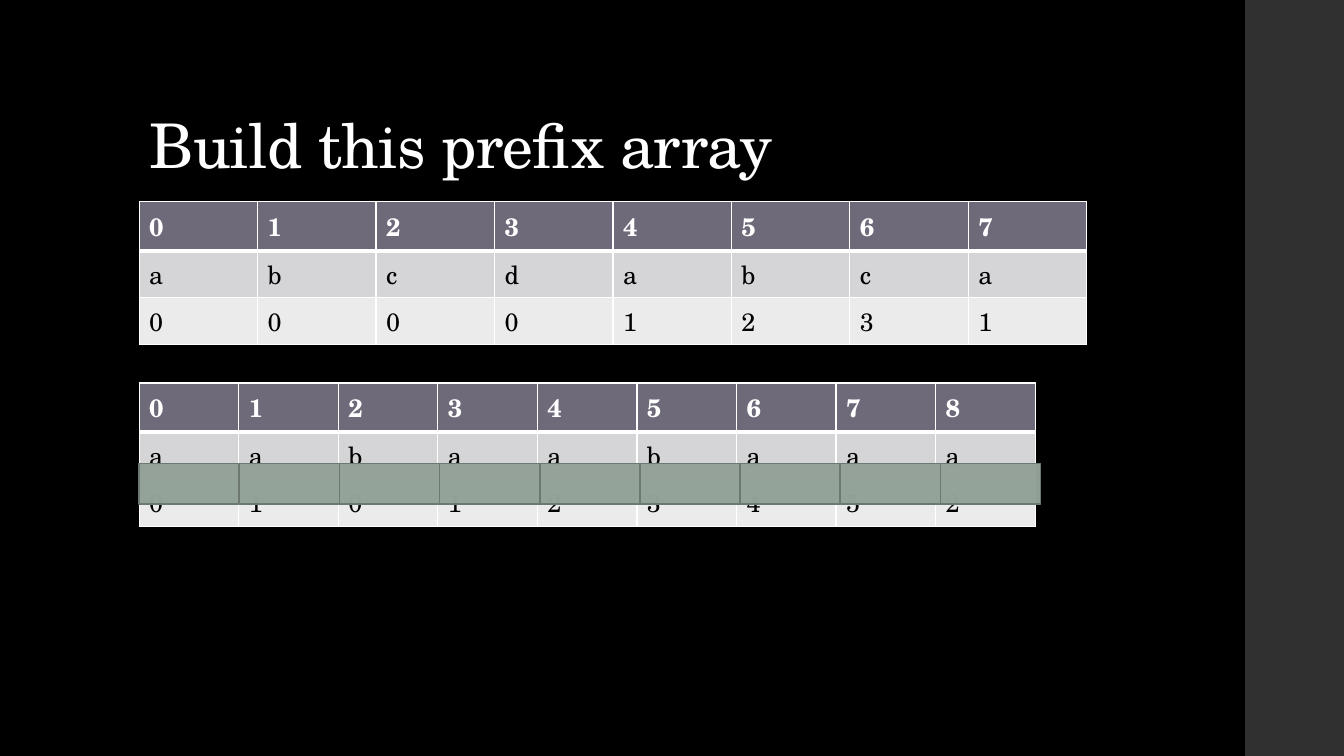
from lxml.etree import SubElement
from pptx import Presentation
from pptx.dml.color import RGBColor
from pptx.enum.shapes import MSO_SHAPE
from pptx.enum.text import MSO_ANCHOR, MSO_AUTO_SIZE, PP_ALIGN
from pptx.oxml.ns import qn
from pptx.util import Inches, Pt

FONT = "TeX Gyre Schola"
LEFT = 1.38
ROW_HEIGHT = 0.41
ROW_FILLS = ["6F6A7A", "D5D4D7", "EBEBEC"]


def paint(fill, color):
    fill.solid()
    fill.fore_color.rgb = RGBColor.from_string(color)


def style_text(paragraph, size, color, bold=False):
    font = paragraph.font
    font.name, font.size, font.bold = FONT, Pt(size), bold
    font.color.rgb = RGBColor.from_string(color)


def add_box(slide, left, top, width, height, color):
    box = slide.shapes.add_shape(
        MSO_SHAPE.RECTANGLE, Inches(left), Inches(top), Inches(width), Inches(height)
    )
    box.shadow.inherit = False
    paint(box.fill, color)
    box.line.fill.background()
    return box


def add_title(slide, wording):
    title = slide.shapes.title
    title.left, title.top = Inches(LEFT), Inches(0.4)
    title.width, title.height = Inches(10.6), Inches(1.45)
    frame = title.text_frame
    frame.text = wording
    frame.word_wrap = True
    frame.auto_size = MSO_AUTO_SIZE.NONE
    frame.vertical_anchor = MSO_ANCHOR.BOTTOM
    heading = frame.paragraphs[0]
    heading.alignment = PP_ALIGN.LEFT
    heading.line_spacing = 0.9
    style_text(heading, 44, "FFFFFF")
    heading.runs[0].font._element.set("spc", "-50")


def add_borders(cell, top, bottom):
    properties = cell._tc.get_or_add_tcPr()
    for side, points in (("L", 1), ("R", 1), ("T", top), ("B", bottom)):
        border = SubElement(properties, qn(f"a:ln{side}"), w=str(Pt(points)))
        border_fill = SubElement(border, qn("a:solidFill"))
        SubElement(border_fill, qn("a:srgbClr"), val="FFFFFF")


def add_prefix_table(slide, top, width, letters, prefixes):
    indices = [str(index) for index in range(len(letters))]
    rows = [indices, letters, prefixes]
    table = slide.shapes.add_table(
        len(rows), len(letters), Inches(LEFT), Inches(top),
        Inches(width), Inches(ROW_HEIGHT * len(rows)),
    ).table
    for column in table.columns:
        column.width = Inches(width / len(letters))
    for r, values in enumerate(rows):
        is_header = r == 0
        for c, value in enumerate(values):
            cell = table.cell(r, c)
            cell.text = value
            style_text(cell.text_frame.paragraphs[0], 18,
                       "FFFFFF" if is_header else "000000", is_header)
            add_borders(cell, 3 if r == 1 else 1, 3 if is_header else 1)
            paint(cell.fill, ROW_FILLS[r])


def add_answer_covers(slide, count):
    pitch = 0.9935
    for position in range(count):
        cover = add_box(slide, LEFT + position * pitch, 4.6, pitch, 0.4, "93A299")
        color = cover.fill._xPr.find(qn("a:solidFill"))[0]
        SubElement(color, qn("a:alpha"), val="98000")
        paint(cover.line.fill, "6D7871")
        cover.line.width = Pt(1.1)


def main():
    deck = Presentation()
    deck.slide_width, deck.slide_height = Inches(13.33), Inches(7.5)
    slide = deck.slides.add_slide(deck.slide_layouts[5])
    paint(slide.background.fill, "000000")
    add_box(slide, 12.35, 0, 0.98, 7.5, "303030")
    add_title(slide, "Build this prefix array")
    add_prefix_table(slide, 2, 9.4, "abcdabca", "00001231")
    add_prefix_table(slide, 3.8, 8.89, "aabaabaaa", "010123452")
    add_answer_covers(slide, 9)
    deck.save("out.pptx")


main()
